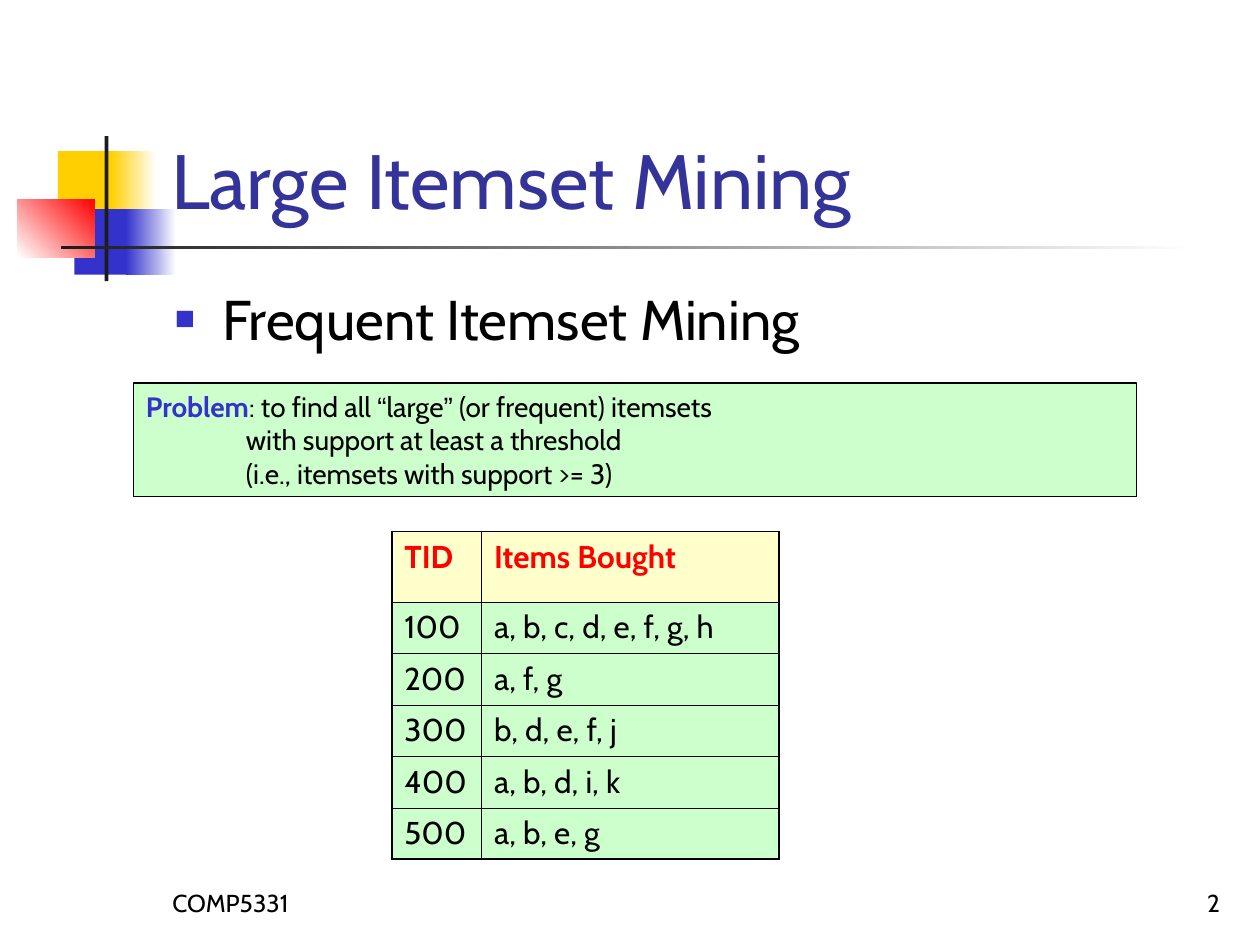
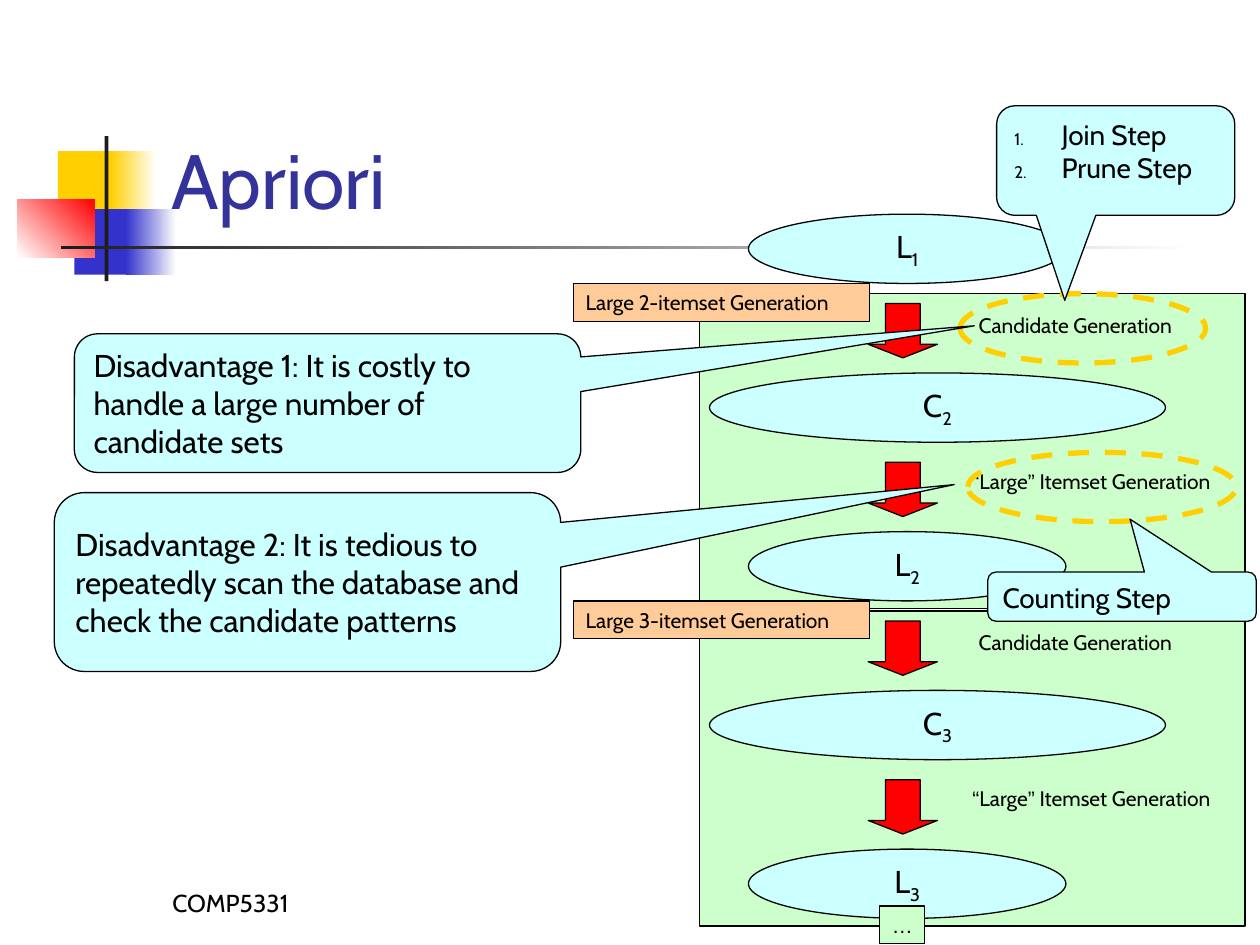
"""Build two slides on large itemset mining and the Apriori algorithm."""
import lxml.etree
import pptx
import pptx.dml.color
import pptx.enum.dml
import pptx.enum.shapes
import pptx.enum.text
import pptx.oxml.ns
import pptx.util

Pt = pptx.util.Pt
SHAPE = pptx.enum.shapes.MSO_SHAPE
ALIGN = pptx.enum.text.PP_ALIGN
ANCHOR = pptx.enum.text.MSO_ANCHOR
rgb = pptx.dml.color.RGBColor.from_string
qn = pptx.oxml.ns.qn

BLACK, WHITE, RED, BLUE, YELLOW = "000000", "FFFFFF", "FF0000", "3333CC", "FFCF01"
TITLE_BLUE, DARK = "333399", "1C1C1C"
GREEN, CYAN, ORANGE, CREAM = "CCFFCC", "CCFFFF", "FFCC99", "FFFFCC"


def add_box(slide, kind, box, fill=None, line=BLACK, width=0.75):
    shape = slide.shapes.add_shape(kind, *map(Pt, box))
    shape.shadow.inherit = False
    if isinstance(fill, tuple):
        start, end, angle = fill
        shape.fill.gradient()
        shape.fill.gradient_angle = angle
        for stop, colour in zip(shape.fill.gradient_stops, (start, end)):
            stop.color.rgb = rgb(colour)
    elif fill:
        shape.fill.solid()
        shape.fill.fore_color.rgb = rgb(fill)
    else:
        shape.fill.background()
    if line:
        shape.line.color.rgb = rgb(line)
        shape.line.width = Pt(width)
    else:
        shape.line.fill.background()
    return shape


def write(frame, lines, size, colour=BLACK, align=ALIGN.LEFT, anchor=ANCHOR.TOP,
          hang=0, bullet=None, bullet_colour=BLACK):
    frame.word_wrap = True
    frame.vertical_anchor = anchor
    for number, runs in enumerate(lines):
        paragraph = frame.add_paragraph() if number else frame.paragraphs[0]
        paragraph.alignment = align
        properties = paragraph._p.get_or_add_pPr()
        if hang:
            properties.set("marL", str(Pt(hang)))
            properties.set("indent", str(-Pt(hang)))
        if bullet:
            tint = lxml.etree.SubElement(properties, qn("a:buClr"))
            lxml.etree.SubElement(tint, qn("a:srgbClr"), val=bullet_colour)
            lxml.etree.SubElement(properties, qn("a:buSzPct"), val="60000")
            lxml.etree.SubElement(properties, qn("a:buFont"), typeface="Arial")
            tag, attributes = bullet
            lxml.etree.SubElement(properties, qn(tag), **attributes)
        for text in runs:
            if text == "\n":
                paragraph.add_line_break()
                continue
            run = paragraph.add_run()
            run.text = text
            run.font.name = "Arial" if text in "“”…" else "Cabin"
            run.font.size = Pt(size)
            run.font.color.rgb = rgb(colour)
    return frame


deck = pptx.Presentation()
deck.slide_width, deck.slide_height = Pt(720), Pt(540)

ornaments = [
    ((33.1, 86.4, 34.6, 37.4), YELLOW),
    ((63.4, 86.4, 25.9, 37.4), (YELLOW, WHITE, 0)),
    ((42.5, 119.5, 33.1, 37.4), BLUE),
    ((72, 119.5, 28.8, 37.4), (BLUE, WHITE, 0)),
    ((10.1, 113.8, 43.9, 33.1), (WHITE, RED, 45)),
    ((59.8, 77.8, 2.2, 82.8), DARK),
    ((34.6, 140.4, 648, 2.2), (DARK, WHITE, 0)),
]
for title in ("Large Itemset Mining", "Apriori"):
    slide = deck.slides.add_slide(deck.slide_layouts[6])
    for box, fill in ornaments:
        add_box(slide, SHAPE.RECTANGLE, box, fill, line=None)
    course = slide.shapes.add_textbox(Pt(91.4), Pt(491.8), Pt(149.8), Pt(36))
    write(course.text_frame, [["COMP5331"]], 14, anchor=ANCHOR.BOTTOM)
    heading = slide.shapes.add_textbox(Pt(90.7), Pt(16.6), Pt(613.4), Pt(115.2))
    write(heading.text_frame, [[title]], 44, TITLE_BLUE, anchor=ANCHOR.BOTTOM)
mining, apriori = deck.slides

page = mining.shapes.add_textbox(Pt(554.4), Pt(491.8), Pt(149.8), Pt(36))
write(page.text_frame, [["2"]], 14, align=ALIGN.RIGHT, anchor=ANCHOR.BOTTOM)
topic = mining.shapes.add_textbox(Pt(92.9), Pt(159.1), Pt(612), Pt(324))
write(topic.text_frame, [["Frequent Itemset Mining"]], 32, hang=27,
      bullet=("a:buChar", {"char": "■"}), bullet_colour=BLUE)

problem = add_box(mining, SHAPE.RECTANGLE, (76.3, 218.9, 573.1, 64.8), GREEN)
statement = write(problem.text_frame, [
    ["Problem", ": to find all ", "“", "large", "”", " (or frequent) itemsets", "\n",
     "with support at least a threshold"],
    ["(i.e., itemsets with support >= 3)"],
], 16, hang=57.2)
statement.paragraphs[1]._p.pPr.set("indent", "0")
keyword = statement.paragraphs[0].runs[0]
keyword.font.bold = True
keyword.font.color.rgb = rgb(BLUE)

transactions = [
    ("TID", "Items Bought"),
    ("100", "a, b, c, d, e, f, g, h"),
    ("200", "a, f, g"),
    ("300", "b, d, e, f, j"),
    ("400", "a, b, d, i, k"),
    ("500", "a, b, e, g"),
]
last = len(transactions) - 1
table = mining.shapes.add_table(len(transactions), 2, Pt(223.9), Pt(303.8), Pt(221.4), Pt(187.8)).table
table.first_row = table.horz_banding = False
table.columns[0].width, table.columns[1].width = Pt(51.3), Pt(170.1)
for row, values in enumerate(transactions):
    table.rows[row].height = Pt(29.4 if row else 40.3)
    for column, value in enumerate(values):
        cell = table.cell(row, column)
        outer_sides = {"L": column == 0, "R": column == 1, "T": row == 0, "B": row == last}
        for side, outer in outer_sides.items():
            border = lxml.etree.SubElement(cell._tc.get_or_add_tcPr(), qn(f"a:ln{side}"),
                                           w=str(Pt(1.08 if outer else 0.45)))
            ink = lxml.etree.SubElement(border, qn("a:solidFill"))
            lxml.etree.SubElement(ink, qn("a:srgbClr"), val=BLACK)
        cell.fill.solid()
        cell.fill.fore_color.rgb = rgb(GREEN if row else CREAM)
        write(cell.text_frame, [[value]], 18, BLACK if row else RED)
        cell.text_frame.paragraphs[0].runs[0].font.bold = row == 0

itemsets = [("L", "1", (427.7, 122.4, 181.4, 39.6))]
for stage in range(2):
    drop = stage * 181.4
    size = str(stage + 2)
    add_box(apriori, SHAPE.RECTANGLE, (399.6, 167.8 + drop, 311.8, 180), GREEN)
    itemsets += [("C", size, (405.4, 213.1 + drop, 260.6, 39.6)),
                 ("L", size, (427.7, 303.8 + drop, 181.4, 39.6))]
    steps = [
        (169.2, (552.2, 175, 138.2, 21.6), ["Candidate Generation"]),
        (259.9, (548.6, 264.2, 167, 21.6), ["“", "Large", "”", " Itemset Generation"]),
    ]
    for arrow_top, (left, top, width, height), label in steps:
        arrow = add_box(apriori, SHAPE.RIGHT_ARROW, (500.4, arrow_top + drop, 31, 39.6), RED)
        arrow.rotation = 90
        arrow.adjustments[0], arrow.adjustments[1] = 0.5, 0.25
        step = apriori.shapes.add_textbox(Pt(left), Pt(top + drop), Pt(width), Pt(height))
        write(step.text_frame, [label], 12)
    generation = add_box(apriori, SHAPE.RECTANGLE, (327.6, 162 + drop, 169.2, 21.6), ORANGE)
    write(generation.text_frame, [[f"Large {size}-itemset Generation"]], 12)

for letter, index, box in itemsets:
    itemset = add_box(apriori, SHAPE.OVAL, box, CYAN)
    write(itemset.text_frame, [[letter, index]], 18, align=ALIGN.CENTER, anchor=ANCHOR.MIDDLE)
    subscript = itemset.text_frame.paragraphs[0].runs[1]
    subscript._r.get_or_add_rPr().set("baseline", "-25000")

more = add_box(apriori, SHAPE.RECTANGLE, (502.6, 517.7, 25.9, 21.6), GREEN)
write(more.text_frame, [["…"]], 12)

for box in ((548.6, 167.8, 140.4, 39.6), (553, 258.5, 153.4, 39.6)):
    highlight = add_box(apriori, SHAPE.OVAL, box, line=YELLOW, width=3)
    highlight.line.dash_style = pptx.enum.dml.MSO_LINE.DASH

numbering = ("a:buAutoNum", {"type": "arabicPeriod"})
callouts = [
    ((42.5, 190.8, 289.4, 79.2), (1.277, -0.558), 18, ANCHOR.MIDDLE, 0, None,
     [["Disadvantage 1: It is costly to handle a large number of candidate sets"]]),
    ((569.5, 60.5, 136.1, 62.6), (-0.214, 1.276), 16, ANCHOR.TOP, 27, numbering,
     [["Join Step"], ["Prune Step"]]),
    ((564.5, 326.9, 153.4, 28.1), (0.03, -1.575), 16, ANCHOR.TOP, 27, None,
     [["Counting Step"]]),
    ((31, 281.5, 289.4, 102.2), (1.277, -0.545), 18, ANCHOR.MIDDLE, 0, None,
     [["Disadvantage 2: It is tedious to repeatedly scan the database"
       " and check the candidate patterns"]]),
]
for box, tip, size, anchor, hang, bullet, remark in callouts:
    callout = add_box(apriori, SHAPE.ROUNDED_RECTANGULAR_CALLOUT, box, CYAN)
    for position, value in enumerate((*tip, 0.167)):
        callout.adjustments[position] = value
    write(callout.text_frame, remark, size, anchor=anchor, hang=hang, bullet=bullet)

deck.save("out.pptx")
